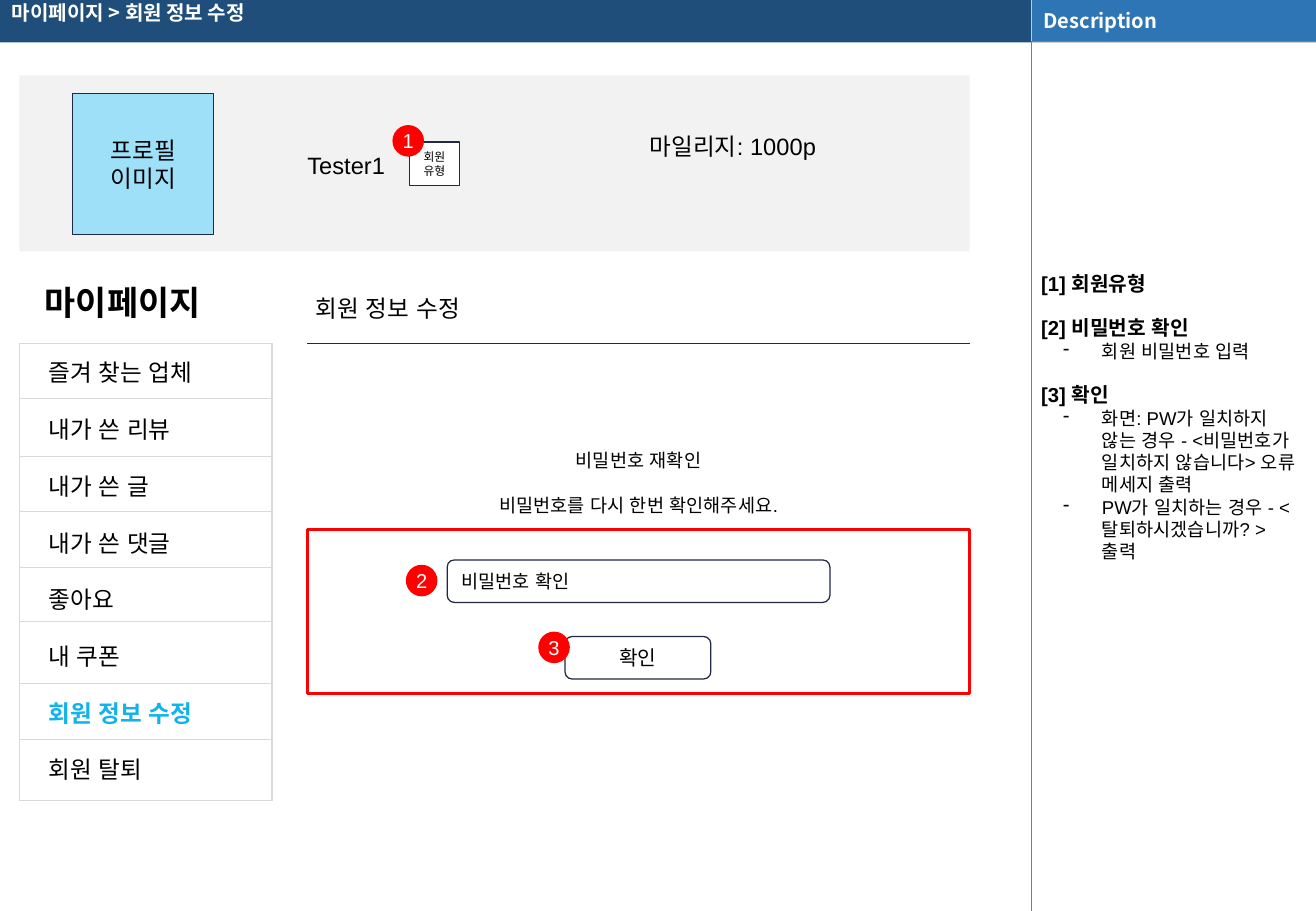
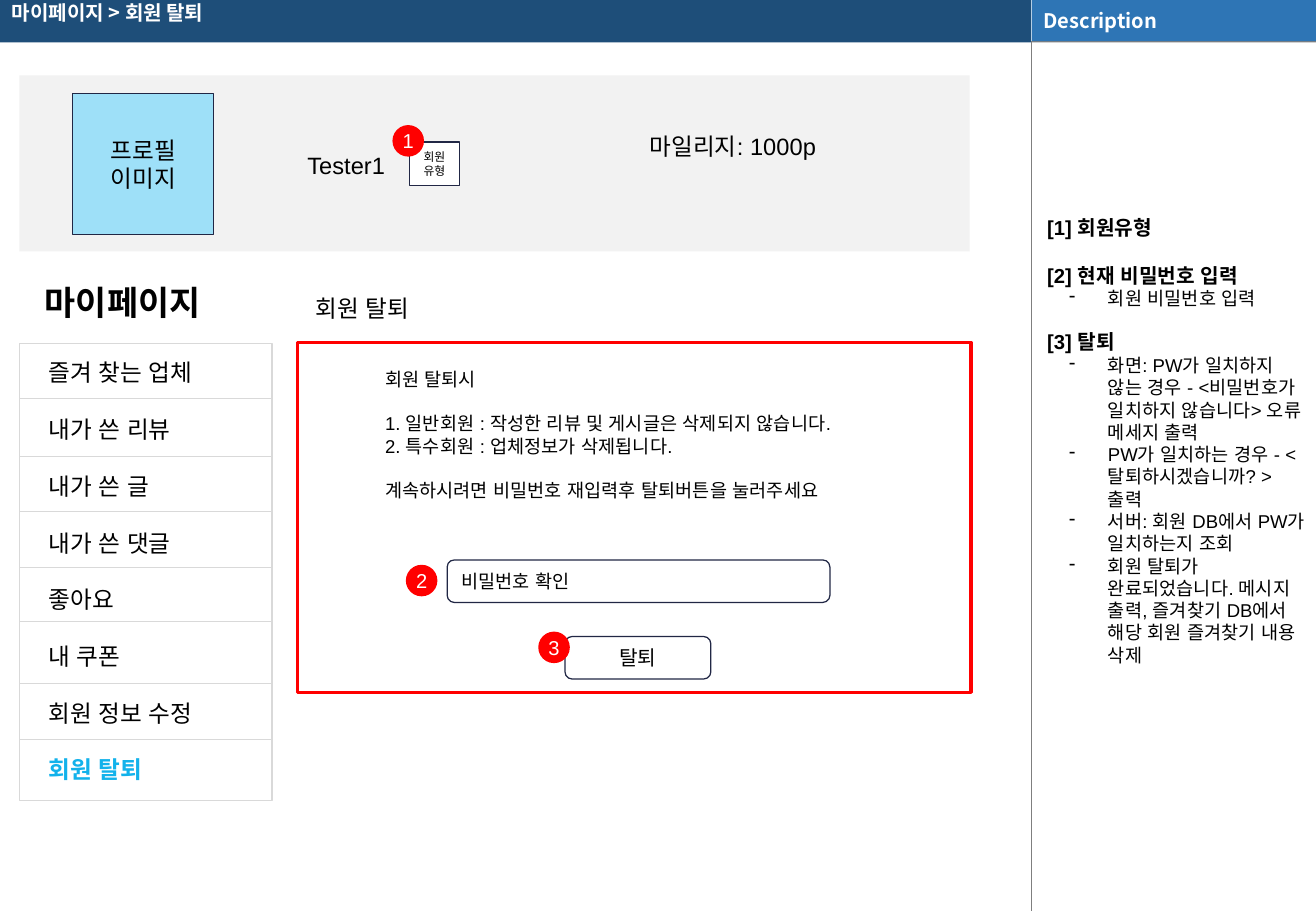
from lxml.etree import SubElement
from pptx import Presentation
from pptx.dml.color import RGBColor
from pptx.enum.shapes import MSO_CONNECTOR, MSO_SHAPE
from pptx.enum.text import MSO_ANCHOR, PP_ALIGN
from pptx.oxml.ns import qn
from pptx.util import Inches, Pt

NAVY = RGBColor(0x1E, 0x4E, 0x79)
BLUE = RGBColor(0x2E, 0x75, 0xB5)
SKY = RGBColor(0x9E, 0xE0, 0xF8)
ACCENT = RGBColor(0x12, 0xB2, 0xEB)
INK = RGBColor(0x21, 0x27, 0x45)
GRAY = RGBColor(0x7F, 0x7F, 0x7F)
SILVER = RGBColor(0xD9, 0xD9, 0xD9)
PALE = RGBColor(0xF2, 0xF2, 0xF2)
RED = RGBColor(0xFF, 0, 0)
BLACK = RGBColor(0, 0, 0)
WHITE = RGBColor(0xFF, 0xFF, 0xFF)

BODY_FONT = "Arial"
HEADER_FONT = "Noto Sans CJK KR"
HEADER = dict(size=11.9, font=HEADER_FONT, color=WHITE, bold=True)
CENTER = PP_ALIGN.CENTER

MENU = ["즐겨 찾는 업체", "내가 쓴 리뷰", "내가 쓴 글", "내가 쓴 댓글",
        "좋아요", "내 쿠폰", "회원 정보 수정", "회원 탈퇴"]
MENU_BOX = (0.16, 2.83, 2.08, 3.76)
MENU_DIVIDERS = [3.28, 3.76, 4.21, 4.67, 5.12, 5.63, 6.09]
BADGES = [(3.23, 1.03), (3.34, 4.65), (4.43, 5.2)]

MISMATCH = "화면: PW가 일치하지 않는 경우 - <비밀번호가 일치하지 않습니다> 오류 메세지 출력"
MATCH = "PW가 일치하는 경우 - <탈퇴하시겠습니까? > 출력"
PASSWORD = "회원 비밀번호 입력"

SCREENS = [
    dict(
        title="회원 정보 수정",
        button="확인",
        frame=(2.53, 4.36, 5.45, 1.35),
        message_box=(2.68, 3.6, 5.15, 0.76),
        message=[("비밀번호 재확인", {}),
                 ("비밀번호를 다시 한번 확인해주세요.", dict(before=13))],
        message_style=dict(align=CENTER),
        notes_box=(8.47, 2.13, 2.33, 2.81),
        notes=[("[1] 회원유형", 0, []),
               ("[2] 비밀번호 확인", 12, [PASSWORD]),
               ("[3] 확인", 12, [MISMATCH, MATCH])],
    ),
    dict(
        title="회원 탈퇴",
        button="탈퇴",
        frame=(2.45, 2.82, 5.54, 2.88),
        message_box=(2.68, 2.93, 5.15, 1.31),
        message=[("회원 탈퇴시", {}),
                 ("1. 일반회원 : 작성한 리뷰 및 게시글은 삭제되지 않습니다.", dict(before=13)),
                 ("2. 특수회원 : 업체정보가 삭제됩니다.", {}),
                 ("계속하시려면 비밀번호 재입력후 탈퇴버튼을 눌러주세요", dict(before=13))],
        message_style=dict(indent=0.39),
        notes_box=(8.52, 1.67, 2.33, 4.14),
        notes=[("[1] 회원유형", 0, []),
               ("[2] 현재 비밀번호 입력", 14, [PASSWORD]),
               ("[3] 탈퇴", 12, [MISMATCH, MATCH,
                               "서버: 회원 DB에서 PW가 일치하는지 조회",
                               "회원 탈퇴가 완료되었습니다. 메시지 출력, 즐겨찾기 DB에서 "
                               "해당 회원 즐겨찾기 내용 삭제"])],
    ),
]


def add_paragraph(para, text, size=11, font=BODY_FONT, color=BLACK, bold=False,
                  align=PP_ALIGN.LEFT, before=0, spacing=None, indent=0, bullet=None):
    para.alignment = align
    para.space_before = Pt(before)
    if spacing:
        para.line_spacing = spacing
    props = para._p.get_or_add_pPr()
    if indent:
        props.set("marL", str(Inches(indent)))
    if bullet:
        props.set("indent", str(Inches(-0.32)))
        SubElement(props, qn("a:buChar")).set("char", bullet)
    span = para.add_run()
    span.text = text
    span.font.size = Pt(size)
    span.font.bold = bold
    span.font.color.rgb = color
    span.font.name = font
    SubElement(span._r.get_or_add_rPr(), qn("a:ea")).set("typeface", font)


def write(box, lines, anchor=MSO_ANCHOR.TOP, inset=(0.1, 0.1), **style):
    frame = box.text_frame
    frame.word_wrap = True
    frame.vertical_anchor = anchor
    frame.margin_left = frame.margin_right = Inches(inset[0])
    frame.margin_top = frame.margin_bottom = Inches(inset[1])
    if isinstance(lines, str):
        lines = [(lines, {})]
    for index, (text, extra) in enumerate(lines):
        para = frame.add_paragraph() if index else frame.paragraphs[0]
        add_paragraph(para, text, **{**style, **extra})


def add_text(page, at, lines, **style):
    write(page.shapes.add_textbox(*map(Inches, at)), lines, **style)


def add_box(page, at, fill=None, line=None, width=0.75, kind=MSO_SHAPE.RECTANGLE,
            lines=None, **style):
    box = page.shapes.add_shape(kind, *map(Inches, at))
    box.shadow.inherit = False
    if fill is None:
        box.fill.background()
    else:
        box.fill.solid()
        box.fill.fore_color.rgb = fill
    if line is None:
        box.line.fill.background()
    else:
        box.line.color.rgb = line
        box.line.width = Pt(width)
    if lines:
        write(box, lines, anchor=MSO_ANCHOR.MIDDLE, **style)


def add_line(page, start, end, color):
    line = page.shapes.add_connector(MSO_CONNECTOR.STRAIGHT, *map(Inches, start + end))
    line.line.color.rgb = color
    line.line.width = Pt(0.75)
    SubElement(line._element.spPr, qn("a:effectLst"))


def draw_header(page, title):
    add_box(page, (0, 0, 8.49, 0.35), NAVY)
    add_box(page, (8.49, 0, 2.34, 0.35), GRAY)
    add_line(page, (8.49, 0), (8.49, 0.35), WHITE)
    add_line(page, (8.49, 0.34), (8.49, 7.5), GRAY)
    add_box(page, (8.49, 0, 2.34, 0.34), BLUE, lines="Description",
            inset=(0.1, 0.05), **HEADER)
    add_text(page, (0, -0.06, 8.25, 0.35), f"마이페이지 > {title}",
             anchor=MSO_ANCHOR.MIDDLE, inset=(0.1, 0.05), spacing=0.9, **HEADER)


def draw_profile(page):
    add_box(page, (0.16, 0.62, 7.82, 1.45), PALE)
    add_box(page, (0.6, 0.77, 1.16, 1.16), SKY, INK,
            lines=[("프로필", {}), ("이미지", {})], size=14, align=CENTER)
    add_text(page, (2.2, 1.14, 1.3, 0.44), "Tester1", size=14, align=CENTER)
    add_box(page, (3.37, 1.17, 0.41, 0.36), WHITE, INK,
            lines="회원유형", size=7, align=CENTER)
    add_text(page, (4.82, 0.99, 2.42, 0.44), "마일리지: 1000p", size=14, align=CENTER)


def draw_menu(page, current):
    left, top, width, height = MENU_BOX
    add_text(page, (0.27, 2.22, 1.86, 0.54), "마이페이지", size=20, bold=True)
    add_box(page, MENU_BOX, line=SILVER)
    for y in MENU_DIVIDERS:
        add_line(page, (left, y), (left + width, y), SILVER)
    items = [(name, dict(before=16.8 if index else 0, bold=name == current,
                         color=ACCENT if name == current else BLACK))
             for index, name in enumerate(MENU)]
    add_text(page, (0.3, 2.85, 1.86, 3.74), items, size=14)


def draw_form(page, screen):
    add_text(page, (2.5, 2.32, 5.66, 0.44), screen["title"], size=14)
    add_line(page, (2.53, 2.83), (7.98, 2.83), INK)
    add_text(page, screen["message_box"], screen["message"], **screen["message_style"])
    rounded = MSO_SHAPE.ROUNDED_RECTANGLE
    add_box(page, (3.68, 4.61, 3.15, 0.35), WHITE, INK, kind=rounded, lines="비밀번호 확인")
    add_box(page, (4.65, 5.24, 1.2, 0.35), line=INK, kind=rounded,
            lines=screen["button"], size=12, align=CENTER)
    add_box(page, screen["frame"], line=RED, width=2)


def draw_badges(page):
    for number, (left, top) in enumerate(BADGES, 1):
        add_box(page, (left, top, 0.26, 0.26), RED, kind=MSO_SHAPE.OVAL, lines=str(number),
                inset=(0, 0), size=11.9, color=WHITE, align=CENTER)


def draw_notes(page, screen):
    lines = []
    for heading, gap, bullets in screen["notes"]:
        lines.append((heading, dict(size=12, bold=True, before=gap)))
        lines += [(text, dict(indent=0.5, bullet="-")) for text in bullets]
    add_text(page, screen["notes_box"], lines)


def main():
    deck = Presentation()
    deck.slide_width, deck.slide_height = Inches(10.83), Inches(7.5)
    for screen in SCREENS:
        page = deck.slides.add_slide(deck.slide_layouts[6])
        draw_header(page, screen["title"])
        draw_profile(page)
        draw_menu(page, screen["title"])
        draw_form(page, screen)
        draw_badges(page)
        draw_notes(page, screen)
    deck.save("out.pptx")


if __name__ == "__main__":
    main()
